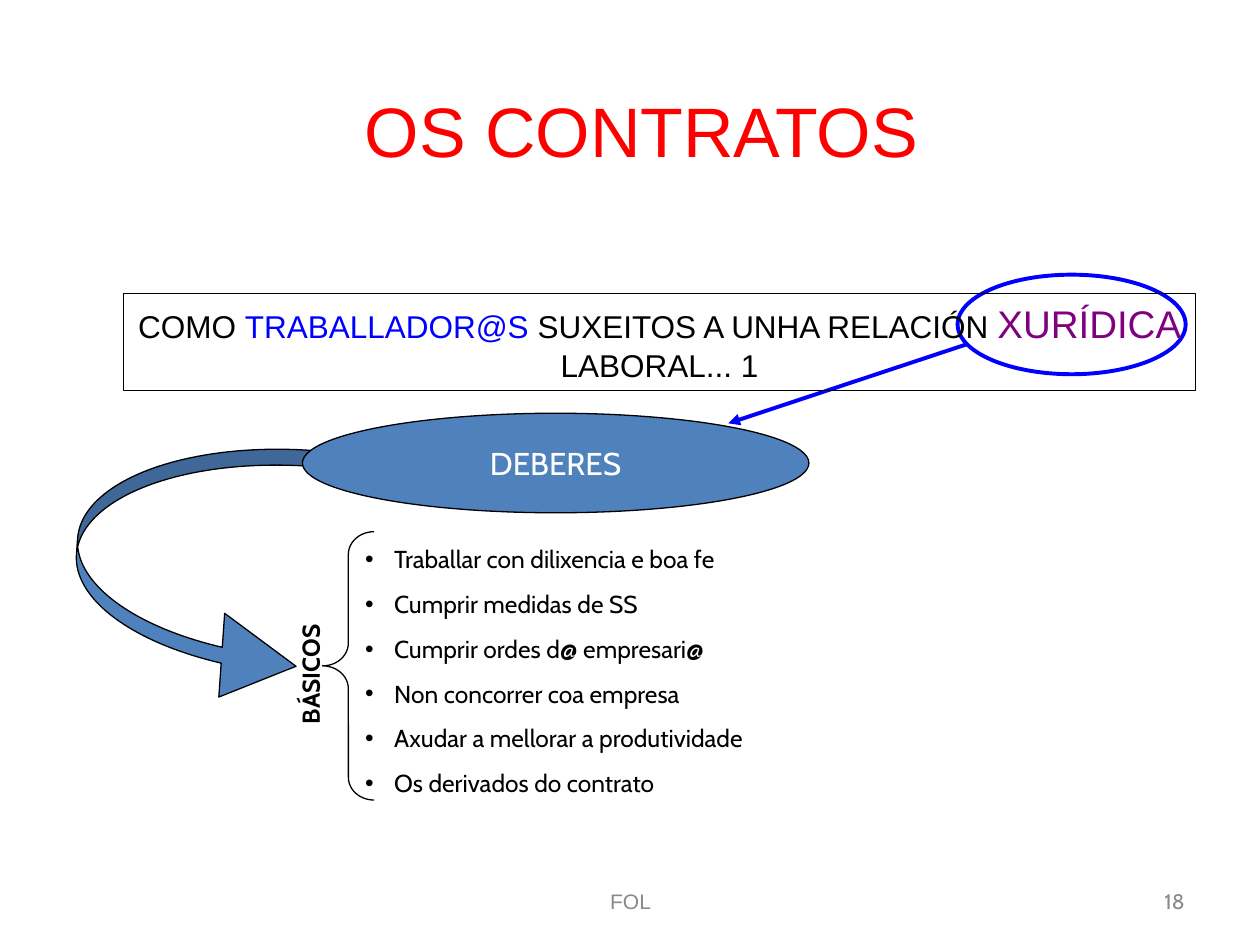
"""Build the slide on workers' basic duties under the employment contract."""
from lxml import etree
from pptx import Presentation
from pptx import util as u
from pptx.dml.color import RGBColor
from pptx.enum import shapes, text
from pptx.oxml.ns import qn

COLORS = {
    "black": "000000", "white": "FFFFFF", "red": "FF0000", "blue": "0000FF",
    "purple": "800080", "steel": "4F81BD", "grey": "898989",
}
DUTIES = [
    "Traballar con dilixencia e boa fe",
    "Cumprir medidas de SS",
    "Cumprir ordes d@ empresari@",
    "Non concorrer coa empresa",
    "Axudar a mellorar a produtividade",
    "Os derivados do contrato",
]
HEADING = [
    ("COMO ", 18, "black"),
    ("TRABALLADOR@S", 18, "blue"),
    (" SUXEITOS A UNHA RELACIÓN ", 18, "black"),
    ("XURÍDICA", 22, "purple"),
    (" LABORAL... 1", 18, "black"),
]


def rgb(name):
    return RGBColor.from_string(COLORS[name])


def box(at):
    return [u.Inches(value) for value in at]


def add_bullet(paragraph, indent=0.23):
    props = paragraph._p.get_or_add_pPr()
    props.set("marL", str(u.Inches(indent)))
    props.set("indent", str(-u.Inches(indent)))
    etree.SubElement(props, qn("a:buFont"), typeface="Arial")
    etree.SubElement(props, qn("a:buChar"), char="•")


def write(frame, paragraphs, size=14, color="black", font="Cabin", bold=False,
          align="LEFT", anchor="TOP", gap=0, bullets=False, wrap=True):
    """Fill a frame; a paragraph is a string or a list of (words, size, colour)."""
    frame.word_wrap = wrap
    frame.vertical_anchor = getattr(text.MSO_ANCHOR, anchor)
    for index, content in enumerate(paragraphs):
        paragraph = frame.add_paragraph() if index else frame.paragraphs[0]
        paragraph.alignment = getattr(text.PP_ALIGN, align)
        if index:
            paragraph.space_before = u.Pt(gap)
        if bullets:
            add_bullet(paragraph)
        pieces = [(content, size, color)] if isinstance(content, str) else content
        for words, points, shade in pieces:
            run = paragraph.add_run()
            run.text = words
            run.font.size = u.Pt(points)
            run.font.name = font
            run.font.bold = bold
            run.font.color.rgb = rgb(shade)


def add_label(slide, at, paragraphs, rotation=0, **style):
    label = slide.shapes.add_textbox(*box(at))
    label.rotation = rotation
    write(label.text_frame, paragraphs, **style)


def add_figure(slide, kind, at, fill=None, line="black", weight=0.75,
               rotation=0, adjustments=()):
    figure = slide.shapes.add_shape(getattr(shapes.MSO_SHAPE, kind), *box(at))
    figure.shadow.inherit = False
    figure.rotation = rotation
    for index, value in enumerate(adjustments):
        figure.adjustments[index] = value
    if fill:
        figure.fill.solid()
        figure.fill.fore_color.rgb = rgb(fill)
    else:
        figure.fill.background()
    figure.line.color.rgb = rgb(line)
    figure.line.width = u.Pt(weight)
    return figure


def add_arrow(slide, start, end, color, weight):
    arrow = slide.shapes.add_connector(
        shapes.MSO_CONNECTOR.STRAIGHT, *box(start + end))
    arrow.line.color.rgb = rgb(color)
    arrow.line.width = u.Pt(weight)
    etree.SubElement(arrow.line._get_or_add_ln(), qn("a:tailEnd"), type="triangle")
    etree.SubElement(arrow._element.spPr, qn("a:effectLst"))


def main():
    deck = Presentation()
    deck.slide_width, deck.slide_height = u.Inches(10), u.Inches(7.5)
    slide = deck.slides.add_slide(deck.slide_layouts[6])

    add_label(slide, (7.17, 6.95, 2.33, 0.4), ["18"], size=12, color="grey",
              align="RIGHT", anchor="MIDDLE")
    add_figure(slide, "OVAL", (7.6, 2.18, 1.81, 0.79), line="blue", weight=2.25)
    add_arrow(slide, (7.68, 2.73), (5.78, 3.36), "blue", 2.25)
    add_figure(slide, "CURVED_RIGHT_ARROW", (0.6, 3.51, 1.8, 2.05), fill="steel",
               rotation=4, adjustments=(0.07, 0.37, 0.33))
    add_label(slide, (2.8, 4.27, 3.39, 2.35), DUTIES, gap=8.8, bullets=True)
    add_figure(slide, "LEFT_BRACE", (2.56, 4.22, 0.41, 2.13),
               adjustments=(0.44, 0.5))
    add_label(slide, (1.89, 5.1, 1.15, 0.34), ["BÁSICOS"], rotation=270, bold=True)
    duties = add_figure(slide, "OVAL", (2.4, 3.28, 4.02, 0.79), fill="steel")
    write(duties.text_frame, ["DEBERES"], size=18, color="white",
          align="CENTER", anchor="MIDDLE", wrap=False)
    add_label(slide, (0.83, 0.23, 8.52, 1.6), ["OS CONTRATOS"], size=40,
              color="red", font="Arial", align="CENTER", anchor="MIDDLE")
    heading = add_figure(slide, "RECTANGLE", (0.98, 2.33, 8.51, 0.77))
    write(heading.text_frame, [HEADING], font="Arial", align="CENTER")
    add_label(slide, (3.42, 6.95, 3.17, 0.4), ["FOL"], size=12, color="grey",
              font="Arial", align="CENTER", anchor="MIDDLE")

    deck.save("out.pptx")


if __name__ == "__main__":
    main()
